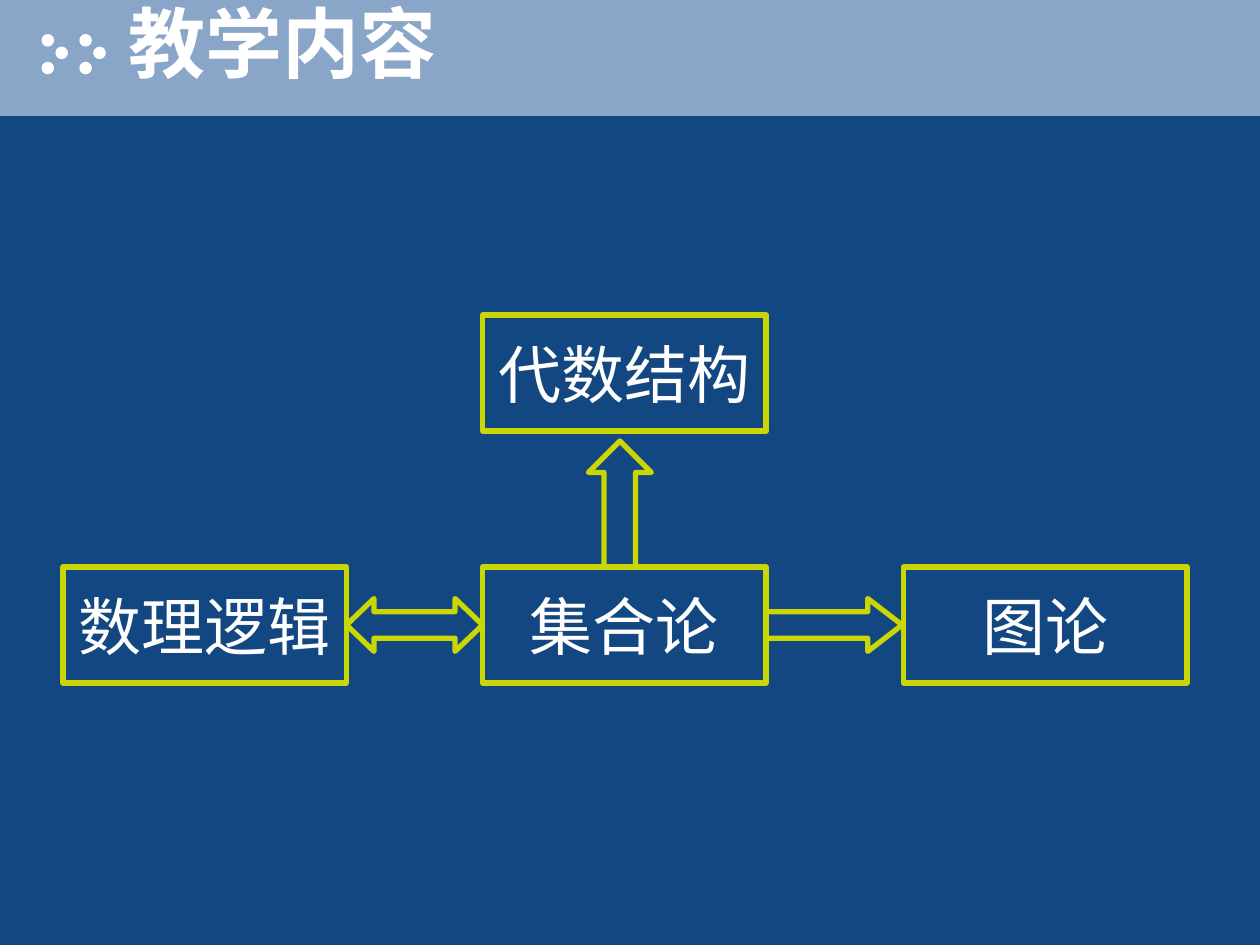
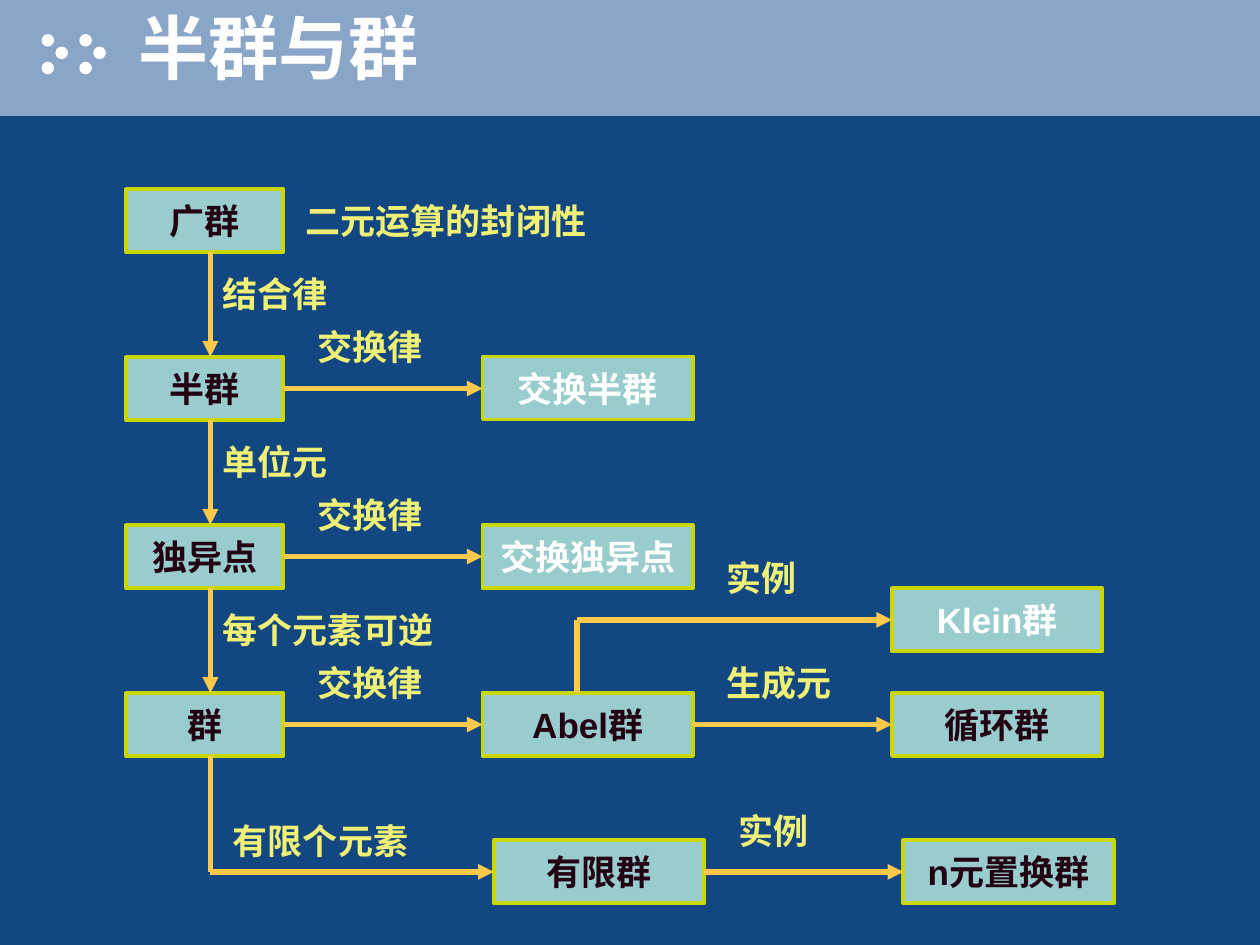
import pptx
import pptx.dml.color
import pptx.enum.shapes
import pptx.enum.text
import pptx.oxml
import pptx.oxml.ns
import pptx.util
from pptx.util import Inches

SHAPE = pptx.enum.shapes.MSO_SHAPE
ALIGN = pptx.enum.text.PP_ALIGN
ANCHOR = pptx.enum.text.MSO_ANCHOR

NAVY, BAND, WHITE, DARK = "134781", "89A5C7", "FFFFFF", "220011"
LIME, AQUA, YELLOW, ORANGE = "CAD704", "99CCCC", "F0F076", "FFC94C"
LATIN_FONT, CHINESE_FONT = "Arial", "Noto Sans CJK SC"

# Header dots: two chevrons of three dots each
CHEVRON_LEFTS = [0.33, 0.63]
CHEVRON_DOTS = [(0, 0.27), (0.11, 0.37), (0, 0.49)]

# Slide 1: course topics (left, top) and the arrows between them
TOPIC_SIZE = (2.25, 0.92)
TOPICS = [("集合论", 3.83, 4.5), ("数理逻辑", 0.5, 4.5),
          ("图论", 7.17, 4.5), ("代数结构", 3.83, 2.5)]
TOPIC_ARROWS = [(SHAPE.RIGHT_ARROW, (6.08, 4.75, 1.08, 0.42), 0.65),
                (SHAPE.UP_ARROW, (4.67, 3.5, 0.5, 1), 0.5),
                (SHAPE.LEFT_RIGHT_ARROW, (2.75, 4.75, 1.08, 0.42), 0.52)]

# Slide 2: a chain of structures, each with the law leading to the next
CHAIN = ["广群", "半群", "独异点", "群"]
CHAIN_LAWS = ["结合律", "单位元", "每个元素可逆"]
CHAIN_LEFT, CHAIN_TOP, CHAIN_STEP, CHAIN_WIDTH = 1, 1.5, 4 / 3, 1.25
BOX_HEIGHT, BRANCH_WIDTH = 0.5, 1.67
TRUNK_X, ABEL_X = 1.67, 4.58
BRANCHES = [("交换半群", 3.83, 2.83, WHITE), ("交换独异点", 3.83, 4.17, WHITE),
            ("Abel群", 3.83, 5.5, DARK), ("有限群", 3.92, 6.67, DARK),
            ("循环群", 7.08, 5.5, DARK), ("n元置换群", 7.17, 6.67, DARK),
            ("Klein群", 7.08, 4.67, WHITE)]
ACROSS = [("半群", "交换半群", "交换律"), ("独异点", "交换独异点", "交换律"),
          ("群", "Abel群", "交换律"), ("Abel群", "循环群", "生成元"),
          ("有限群", "n元置换群", "实例")]
# start, x of the corner, end, law, left and top of the law
BENT = [("群", TRUNK_X, "有限群", "有限个元素", 1.75, 6.42),
        ("Abel群", ABEL_X, "Klein群", "实例", 5.67, 4.33)]


def color(value):
    return pptx.dml.color.RGBColor.from_string(value)


def drawing_element(xml):
    return pptx.oxml.parse_xml(xml.replace(
        ">", " " + pptx.oxml.ns.nsdecls("a") + ">", 1) if "/>" not in xml.split(">")[0] + ">"
        else xml.replace("/>", " " + pptx.oxml.ns.nsdecls("a") + "/>", 1))


def write(shape, text, size=20, ink=WHITE, bold=False, font=LATIN_FONT,
          align=ALIGN.CENTER, anchor=ANCHOR.MIDDLE, before=0, wrap=False):
    frame = shape.text_frame
    frame.auto_size = pptx.enum.text.MSO_AUTO_SIZE.NONE
    frame.word_wrap = wrap
    frame.vertical_anchor = anchor
    para = frame.paragraphs[0]
    para.alignment = align
    para.space_before = pptx.util.Pt(before)
    span = para.add_run()
    span.text = text
    span.font.size = pptx.util.Pt(size)
    span.font.bold = bold
    span.font.color.rgb = color(ink)
    span.font.name = font
    latin = span.font._element.find(pptx.oxml.ns.qn("a:latin"))
    latin.addnext(drawing_element(f'<a:ea typeface="{CHINESE_FONT}"/>'))
    return span


def add_box(slide, kind, place, fill=None, line=None, weight=3):
    box = slide.shapes.add_shape(kind, *map(Inches, place))
    box.shadow.inherit = False
    if fill:
        box.fill.solid()
        box.fill.fore_color.rgb = color(fill)
    else:
        box.fill.background()
    if line:
        box.line.color.rgb = color(line)
        box.line.width = pptx.util.Pt(weight)
    else:
        box.line.fill.background()
    return box


def add_line(slide, start, end, arrow=True):
    line = slide.shapes.add_connector(
        pptx.enum.shapes.MSO_CONNECTOR.STRAIGHT, *map(Inches, start + end))
    line.line.color.rgb = color(ORANGE)
    line.line.width = pptx.util.Pt(3)
    if arrow:
        line.line._get_or_add_ln().append(drawing_element('<a:tailEnd type="triangle"/>'))
    line._element.spPr.append(drawing_element("<a:effectLst/>"))


def add_law(slide, text, left, top, width=None, align=ALIGN.LEFT):
    width = width or (1.92 if len(text) > 3 else 1.42)
    label = slide.shapes.add_textbox(*map(Inches, (left, top, width, BOX_HEIGHT)))
    write(label, text, ink=YELLOW, bold=True, align=align, before=11.2)


def add_slide(deck, title_text, place, size, anchor):
    """Add a slide with the header band, its dots and a shadowed title."""
    slide = deck.slides.add_slide(deck.slide_layouts[5])
    add_box(slide, SHAPE.RECTANGLE, (0, 0, 10, 0.92), fill=BAND)
    for left in CHEVRON_LEFTS:
        for shift, top in CHEVRON_DOTS:
            add_box(slide, SHAPE.OVAL, (left + shift, top, 0.1, 0.1), fill=WHITE)
    title = slide.shapes.title
    title.left, title.top, title.width, title.height = map(Inches, place)
    span = write(title, title_text, size=size, bold=True, font=CHINESE_FONT,
                 align=ALIGN.LEFT, anchor=anchor, wrap=True)
    shadow = drawing_element(
        '<a:effectLst><a:outerShdw dist="35921" dir="2700000">'
        f'<a:srgbClr val="{DARK}"/></a:outerShdw></a:effectLst>')
    span.font._element.find(pptx.oxml.ns.qn("a:latin")).addprevious(shadow)
    title._element.getparent().append(title._element)  # bring in front of the band
    return slide


def build_topics(deck):
    slide = add_slide(deck, "教学内容", (0.92, 0, 8.67, 0.75), 44, ANCHOR.BOTTOM)
    for text, left, top in TOPICS:
        box = add_box(slide, SHAPE.RECTANGLE, (left, top) + TOPIC_SIZE, line=LIME)
        write(box, text, size=36, before=20.2)
    for kind, place, head in TOPIC_ARROWS:
        arrow = add_box(slide, kind, place, line=LIME)
        arrow.adjustments[0] = 0.5
        arrow.adjustments[1] = head


def build_groups(deck):
    slide = add_slide(deck, "半群与群", (1, 0.08, 9, 0.58), 40, ANCHOR.MIDDLE)
    structures = [(text, CHAIN_LEFT, CHAIN_TOP + row * CHAIN_STEP, CHAIN_WIDTH, DARK)
                  for row, text in enumerate(CHAIN)]
    structures += [(text, left, top, BRANCH_WIDTH, ink)
                   for text, left, top, ink in BRANCHES]
    places = {}
    for text, left, top, width, ink in structures:
        places[text] = (left, top, width, BOX_HEIGHT)
        box = add_box(slide, SHAPE.RECTANGLE, places[text], AQUA, LIME, 2.25)
        write(box, text, ink=ink, bold=True, before=6.2)

    add_law(slide, "二元运算的封闭性", 2.33, CHAIN_TOP, 2.42, ALIGN.CENTER)
    for upper, lower, law in zip(CHAIN, CHAIN[1:], CHAIN_LAWS):
        bottom = places[upper][1] + BOX_HEIGHT
        add_line(slide, (TRUNK_X, bottom), (TRUNK_X, places[lower][1]))
        add_law(slide, law, TRUNK_X, bottom + 0.08)
    for start, end, law in ACROSS:
        left, top, width, height = places[start]
        right, middle = left + width, top + height / 2
        add_line(slide, (right, middle), (places[end][0], middle))
        add_law(slide, law, right + 0.17, middle - 0.58)
    for start, corner_x, end, law, law_left, law_top in BENT:
        start_top = places[start][1]
        end_left, end_top = places[end][:2]
        middle = end_top + BOX_HEIGHT / 2
        edge = start_top + BOX_HEIGHT if end_top > start_top else start_top
        add_line(slide, (corner_x, edge), (corner_x, middle), arrow=False)
        add_line(slide, (corner_x, middle), (end_left, middle))
        add_law(slide, law, law_left, law_top)


def main():
    deck = pptx.Presentation()
    deck.slide_width, deck.slide_height = Inches(10), Inches(7.5)
    background = deck.slide_master.background.fill
    background.solid()
    background.fore_color.rgb = color(NAVY)
    build_topics(deck)
    build_groups(deck)
    deck.save("out.pptx")


if __name__ == "__main__":
    main()
